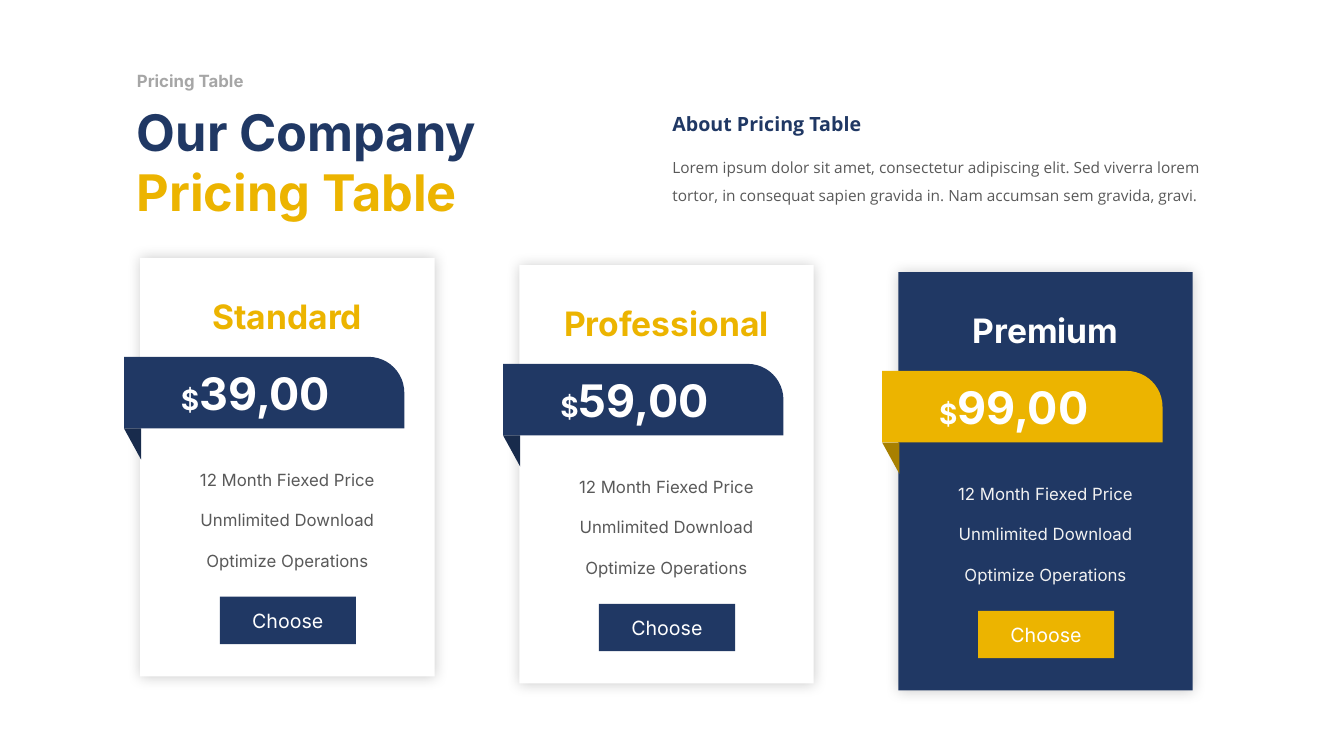
from lxml.etree import SubElement
from pptx import Presentation
from pptx.dml.color import RGBColor
from pptx.enum.shapes import MSO_SHAPE
from pptx.enum.text import MSO_ANCHOR, MSO_AUTO_SIZE, PP_ALIGN
from pptx.oxml.ns import qn
from pptx.util import Inches, Pt

COLORS = {
    "navy": "203864", "dark_navy": "182B4C", "gold": "ECB400", "dark_gold": "A88000",
    "white": "FFFFFF", "pale": "F2F2F2", "text": "595959", "gray": "A6A6A6", "black": "000000",
}
FEATURES = ["12 Month Fiexed Price", "Unmlimited Download", "Optimize Operations"]
PLANS = [
    {"name": "Standard", "price": "39,00", "card": "white", "title": "gold",
     "accent": "navy", "fold": "dark_navy", "body": "text"},
    {"name": "Professional", "price": "59,00", "card": "white", "title": "gold",
     "accent": "navy", "fold": "dark_navy", "body": "text"},
    {"name": "Premium", "price": "99,00", "card": "navy", "title": "white",
     "accent": "gold", "fold": "dark_gold", "body": "pale"},
]


def add_run(paragraph, text, size, color, font="Inter", bold=False):
    """Append one formatted run to a paragraph."""
    run = paragraph.add_run()
    run.text = text
    run.font.size = Pt(size)
    run.font.name = font
    run.font.bold = bold
    run.font.color.rgb = RGBColor.from_string(COLORS[color])


def add_text(slide, box, paragraphs, align=PP_ALIGN.LEFT, spacing=None, wrap=True):
    """Add a text box whose paragraphs are lists of run arguments."""
    frame = slide.shapes.add_textbox(*map(Inches, box)).text_frame
    frame.word_wrap = wrap
    frame.auto_size = MSO_AUTO_SIZE.SHAPE_TO_FIT_TEXT
    for index, runs in enumerate(paragraphs):
        paragraph = frame.add_paragraph() if index else frame.paragraphs[0]
        paragraph.alignment = align
        if spacing:
            paragraph.line_spacing = spacing
        for run in runs:
            add_run(paragraph, *run)


def add_block(slide, kind, box, color, adjustment=None):
    """Add a filled shape without outline or shadow."""
    shape = slide.shapes.add_shape(kind, *map(Inches, box))
    shape.shadow.inherit = False
    shape.fill.solid()
    shape.fill.fore_color.rgb = RGBColor.from_string(COLORS[color])
    shape.line.fill.background()
    if adjustment is not None:
        shape.adjustments[0] = adjustment
    return shape


def add_glow_shadow(shape):
    """Give a shape a soft, centred shadow."""
    effects = shape._element.spPr.find(qn("a:effectLst"))
    shadow = SubElement(effects, qn("a:outerShdw"), blurRad=str(Pt(10)), dist="0",
                        dir="0", algn="ctr", rotWithShape="0")
    color = SubElement(shadow, qn("a:srgbClr"), val=COLORS["black"])
    SubElement(color, qn("a:alpha"), val="20000")


def add_header(slide, left, top):
    """Place the label, the two-colour title and the description."""
    add_text(slide, (left, top + 0.3, 5.32, 1.31),
             [[("Our Company ", 36, "navy", "Inter", True),
               ("Pricing Table", 36, "gold", "Inter", True)]])
    add_text(slide, (left, top, 1.28, 0.3),
             [[("Pricing Table", 12, "gray", "Inter", True)]], wrap=False)
    about_left = left + 5.31
    add_text(slide, (about_left, top + 0.41, 2.15, 0.34),
             [[("About Pricing Table", 14, "navy", "Open Sans", True)]])
    add_text(slide, (about_left, top + 0.78, 5.53, 0.62),
             [[("Lorem ipsum dolor sit amet, consectetur adipiscing elit. Sed viverra lorem "
                "tortor, in consequat sapien gravida in. Nam accumsan sem gravida, gravi.",
                11, "text", "Open Sans")]], spacing=1.5)


def add_plan(slide, left, top, width, height, plan):
    """Place one pricing card with its ribbon, features and button."""
    card = add_block(slide, MSO_SHAPE.RECTANGLE, (left, top, width, height), plan["card"])
    add_glow_shadow(card)
    add_block(slide, MSO_SHAPE.ROUND_1_RECTANGLE, (left - 0.16, top + 0.98, 2.78, 0.71),
              plan["accent"], 0.5)
    fold = add_block(slide, MSO_SHAPE.ISOSCELES_TRIANGLE,
                     (left - 0.23, top + 1.76, 0.31, 0.17), plan["fold"], 1)
    fold.rotation = 270
    add_text(slide, (left, top + 0.33, width, 0.5),
             [[(plan["name"], 24, plan["title"], "Inter", True)]], PP_ALIGN.CENTER, wrap=False)
    add_text(slide, (left + 0.28, top + 1.02, 1.73, 0.64),
             [[("$", 20, "white", "Inter", True), (plan["price"], 32, "white", "Inter", True)]],
             PP_ALIGN.CENTER, wrap=False)
    add_text(slide, (left + 0.4, top + 1.85, 2.12, 1.26),
             [[(feature, 12, plan["body"])] for feature in FEATURES], PP_ALIGN.CENTER, 2.0)
    button = add_block(slide, MSO_SHAPE.ROUNDED_RECTANGLE,
                       (left + 0.79, top + 3.36, 1.35, 0.47), plan["accent"], 0)
    button.text_frame.vertical_anchor = MSO_ANCHOR.MIDDLE
    paragraph = button.text_frame.paragraphs[0]
    paragraph.alignment = PP_ALIGN.CENTER
    add_run(paragraph, "Choose", 14, "white")


def main():
    """Build and save the pricing slide."""
    presentation = Presentation()
    presentation.slide_width = Inches(13.33)
    presentation.slide_height = Inches(7.5)
    slide = presentation.slides.add_slide(presentation.slide_layouts[6])
    add_header(slide, 1.26, 0.65)
    card_width, card_height, gap, step_down = 2.92, 4.15, 0.84, 0.07
    for index, plan in enumerate(PLANS):
        add_plan(slide, 1.39 + index * (card_width + gap), 2.56 + index * step_down,
                 card_width, card_height, plan)
    presentation.save("out.pptx")


if __name__ == "__main__":
    main()
